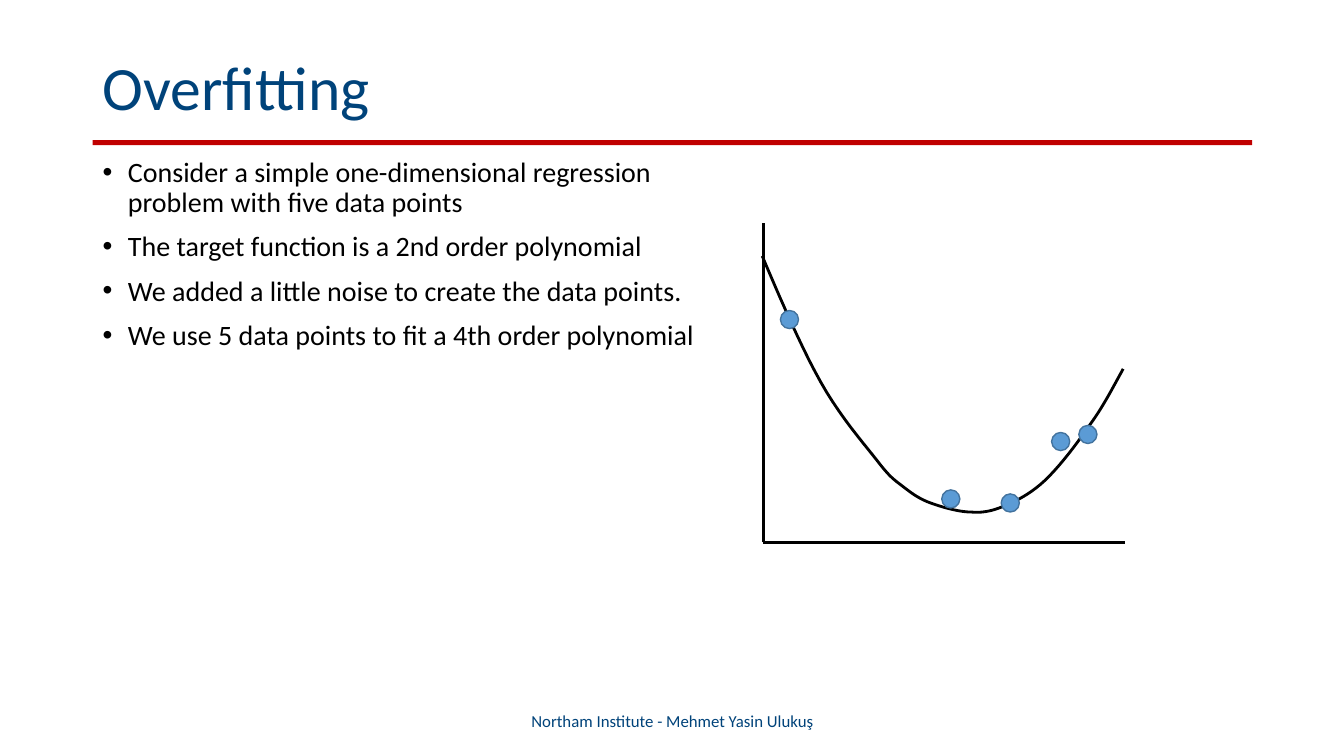
from pptx import Presentation
from pptx.dml.color import RGBColor
from pptx.enum import shapes, text
from pptx.oxml import parse_xml
from pptx.oxml.ns import nsdecls
from pptx.util import Inches, Pt

NAVY, RED, BLACK, BLUE, BLUE_EDGE = "00437A", "C00000", "000000", "5B9BD5", "43739E"


def rgb(value):
    """Turn a hex string into a colour."""
    return RGBColor.from_string(value)


def add_text(box, lines, size, color, anchor):
    """Add a wrapped text box with one paragraph per line and return its paragraphs."""
    tf = s.shapes.add_textbox(*map(Inches, box)).text_frame
    tf.word_wrap = True
    tf.vertical_anchor = anchor
    tf.text = "\n".join(lines)
    for p in tf.paragraphs:
        font = p.runs[0].font
        font.name, font.size, font.color.rgb = "Calibri", Pt(size), rgb(color)
    return tf.paragraphs


prs = Presentation()
prs.slide_width, prs.slide_height = Inches(13.33), Inches(7.5)
s = prs.slides.add_slide(prs.slide_layouts[6])

# Title, rule, bullets and footer
rule = s.shapes.add_shape(shapes.MSO_SHAPE.RECTANGLE, *map(Inches, (0.92, 1.39, 11.5, 0.05)))
rule.shadow.inherit = False
rule.fill.solid()
rule.fill.fore_color.rgb = rgb(RED)
rule.line.fill.background()

title = add_text((0.92, 0.4, 11.5, 0.99), ["Overfitting"], 44, NAVY, text.MSO_ANCHOR.MIDDLE)
title[0].line_spacing = 0.9

bullets = [
    "Consider a simple one-dimensional regression problem with five data points",
    "The target function is a 2nd order polynomial",
    "We added a little noise to create the data points.",
    "We use 5 data points to fit a 4th order polynomial",
]
for p in add_text((0.92, 1.52, 6.11, 5.38), bullets, 20, BLACK, text.MSO_ANCHOR.TOP):
    p.line_spacing, p.space_before = 0.9, Pt(10)
    pPr = p._p.get_or_add_pPr()
    pPr.set("marL", str(Inches(0.25)))
    pPr.set("indent", str(Inches(-0.25)))
    pPr.append(parse_xml(f'<a:buFont {nsdecls("a")} typeface="Arial"/>'))
    pPr.append(parse_xml(f'<a:buChar {nsdecls("a")} char="\u2022"/>'))

footer = add_text((4.42, 6.95, 4.5, 0.4), ["Northam Institute - Mehmet Yasin Ulukuş"],
                  12, NAVY, text.MSO_ANCHOR.MIDDLE)
footer[0].alignment = text.PP_ALIGN.CENTER

# Axes
origin = (7.57, 5.38)
for end in [(7.57, 2.21), (11.16, 5.38)]:
    axis = s.shapes.add_connector(shapes.MSO_CONNECTOR.STRAIGHT, *map(Inches, origin + end))
    axis.line.color.rgb = rgb(BLACK)
    axis.line.width = Pt(2)
    axis._element.spPr.append(parse_xml(f'<a:effectLst {nsdecls("a")}/>'))

# Target function: cubic segments, each two control points and an end point
start = (7.56, 2.54)
segments = [
    [(7.75, 2.99), (7.95, 3.45), (8.14, 3.79)],
    [(8.33, 4.13), (8.56, 4.39), (8.7, 4.57)],
    [(8.83, 4.74), (8.87, 4.76), (8.96, 4.83)],
    [(9.05, 4.9), (9.12, 4.95), (9.23, 4.99)],
    [(9.34, 5.03), (9.51, 5.08), (9.63, 5.08)],
    [(9.75, 5.09), (9.84, 5.07), (9.96, 5.02)],
    [(10.08, 4.97), (10.22, 4.9), (10.36, 4.77)],
    [(10.51, 4.63), (10.69, 4.39), (10.82, 4.2)],
    [(10.95, 4.02), (11.04, 3.84), (11.14, 3.66)],
]
steps = 10
points, last = [], start
for segment in segments:
    for t in (i / steps for i in range(1, steps + 1)):
        weights = ((1 - t) ** 3, 3 * t * (1 - t) ** 2, 3 * t ** 2 * (1 - t), t ** 3)
        points.append([Inches(sum(w * c for w, c in zip(weights, values)))
                       for values in zip(last, *segment)])
    last = segment[-1]
builder = s.shapes.build_freeform(*map(Inches, start))
builder.add_line_segments(points, close=False)
curve = builder.convert_to_shape()
curve.shadow.inherit = False
curve.fill.background()
curve.line.color.rgb = rgb(BLACK)
curve.line.width = Pt(2)

# Data points
size = 0.18
for x, y in [(7.74, 3.08), (9.34, 4.86), (9.93, 4.9), (10.43, 4.29), (10.7, 4.22)]:
    dot = s.shapes.add_shape(shapes.MSO_SHAPE.OVAL, *map(Inches, (x, y, size, size)))
    dot.shadow.inherit = False
    dot.fill.solid()
    dot.fill.fore_color.rgb = rgb(BLUE)
    dot.line.color.rgb = rgb(BLUE_EDGE)
    dot.line.width = Pt(1)

prs.save("out.pptx")
